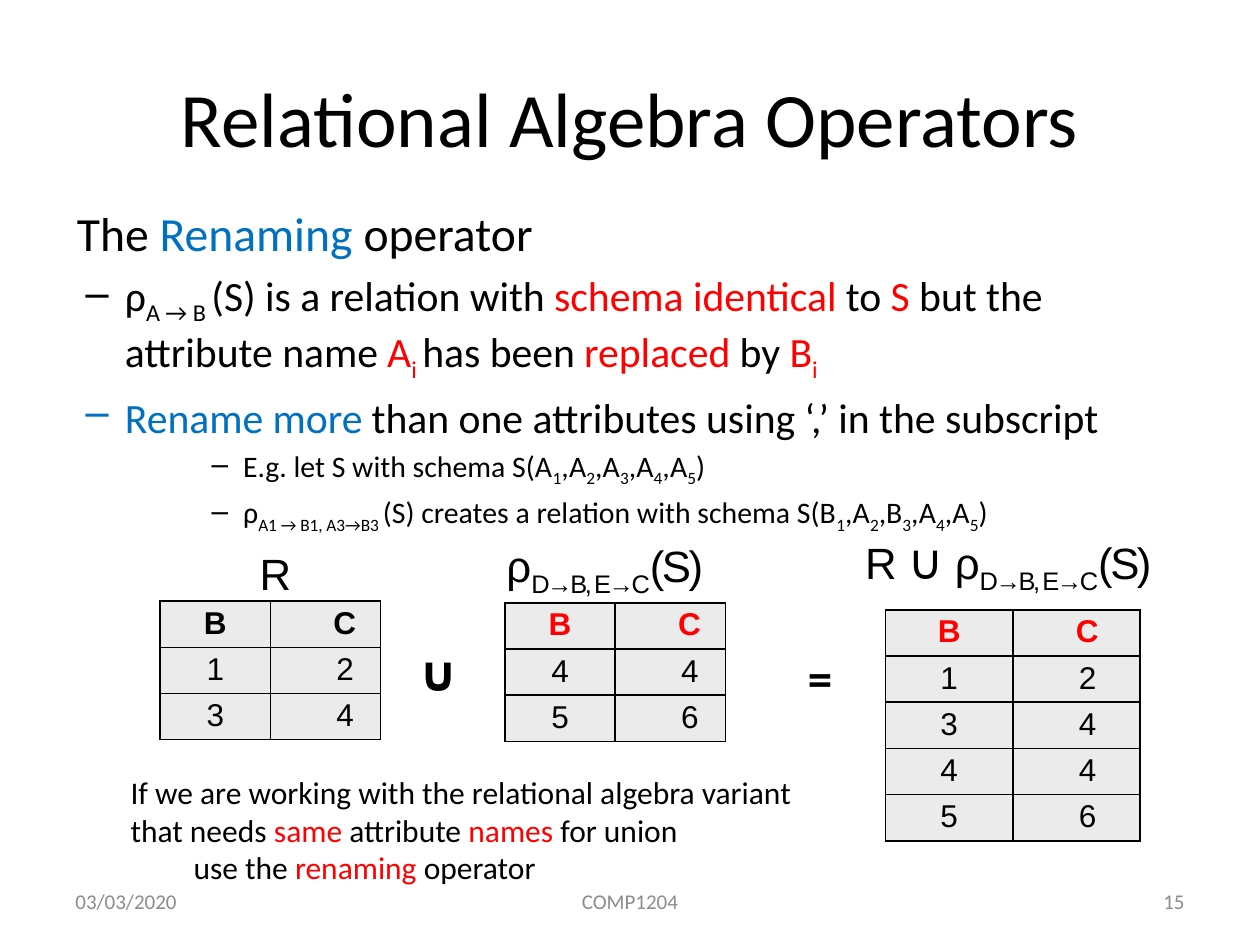
from lxml import etree
from pptx import Presentation
from pptx.dml import color
from pptx.enum import text as txt
from pptx.oxml import ns
from pptx.util import Pt

BLACK = color.RGBColor(0x00, 0x00, 0x00)
RED = color.RGBColor(0xFF, 0x00, 0x00)
BLUE = color.RGBColor(0x00, 0x70, 0xC0)
GRAY = color.RGBColor(0x8C, 0x8C, 0x8C)
CELL_GRAY = color.RGBColor(0xEB, 0xEB, 0xEB)

LEFT, CENTER, RIGHT = txt.PP_ALIGN.LEFT, txt.PP_ALIGN.CENTER, txt.PP_ALIGN.RIGHT
SUB = {"baseline": -25000}
RED_TEXT = {"color": RED}
RED_SUB = {"color": RED, "baseline": -25000}
BLUE_TEXT = {"color": BLUE}
FORMULA = {"name": "Arial", "size": 25, "spc": -140}
RENAMED_S = [("ρ", {}), ("D→B, E→C", SUB), ("(S)", {})]


def add_runs(paragraph, runs, **base):
    for content, changes in runs:
        style = {"name": "Calibri", "color": BLACK, "bold": False, **base, **changes}
        run = paragraph.add_run()
        run.text = content
        run.font.color.rgb = style["color"]
        values = {"name": style["name"], "size": Pt(style["size"]), "bold": style["bold"]}
        for key, value in values.items():
            setattr(run.font, key, value)
        properties = run._r.get_or_add_rPr()
        for key in ("baseline", "spc"):
            if key in style:
                properties.set(key, str(style[key]))


def indent(paragraph, left, hanging=0, bullet=None):
    properties = paragraph._p.get_or_add_pPr()
    properties.set("marL", str(Pt(left)))
    properties.set("indent", str(Pt(-hanging)))
    if bullet:
        etree.SubElement(properties, ns.qn("a:buChar")).set("char", bullet)


def add_frame(slide, box, margins=(7.2, 3.6, 7.2, 3.6), wrap=True, anchor=txt.MSO_ANCHOR.TOP):
    frame = slide.shapes.add_textbox(*map(Pt, box)).text_frame
    left, top, right, bottom = map(Pt, margins)
    values = {"margin_left": left, "margin_top": top, "margin_right": right,
              "margin_bottom": bottom, "word_wrap": wrap, "vertical_anchor": anchor}
    for key, value in values.items():
        setattr(frame, key, value)
    return frame


def middle_line(slide, box, content, size, font_color, alignment):
    paragraph = add_frame(slide, box, anchor=txt.MSO_ANCHOR.MIDDLE).paragraphs[0]
    paragraph.alignment = alignment
    add_runs(paragraph, [(content, {})], size=size, color=font_color)


def footer(slide, box):
    left, top, width, height = box
    middle_line(slide, (left, top, 168, height), "03/03/2020", 12, GRAY, LEFT)
    middle_line(slide, (left + 210, top, 228, height), "COMP1204", 12, GRAY, CENTER)
    middle_line(slide, (left + width - 168, top, 168, height), "15", 12, GRAY, RIGHT)


def schema(*attributes):
    runs = []
    opening = "S("
    for letter, number in attributes:
        runs += [(opening + letter, {}), (number, SUB)]
        opening = ","
    return runs + [(")", {})]


def body(slide, box):
    paragraphs = [
        (27.2, (31, 0, None), [("The ", {}), ("Renaming", BLUE_TEXT), (" operator", {})]),
        (23.8, (58.5, 22.5, "–"), [
            ("ρ", {}), ("A → B ", SUB), ("(S) is a relation with ", {}),
            ("schema identical ", RED_TEXT), ("to", {}), (" S ", RED_TEXT),
            ("but the attribute name ", {}), ("A", RED_TEXT), ("i ", RED_SUB),
            ("has been ", {}), ("replaced ", RED_TEXT), ("by", {}),
            (" B", RED_TEXT), ("i", RED_SUB)]),
        (23.8, (58.5, 22.5, "–"), [
            ("Rename more", BLUE_TEXT),
            (" than one attributes using ‘,’ in the subscript", {})]),
        (17, (126, 18, "–"), [
            ("E.g. let S with schema ", {}), *schema("A1", "A2", "A3", "A4", "A5")]),
        (17, (126, 18, "–"), [
            ("ρ", {}), ("A1 → B1, Α3→Β3 ", SUB), ("(S) creates a relation with schema ", {}),
            *schema("B1", "A2", "B3", "A4", "A5")]),
    ]
    frame = add_frame(slide, box)
    for index, (size, layout, runs) in enumerate(paragraphs):
        paragraph = frame.add_paragraph() if index else frame.paragraphs[0]
        paragraph.space_before = Pt(size * 0.2)
        indent(paragraph, *layout)
        add_runs(paragraph, runs, size=size)


def formula(slide, box, runs):
    paragraph = add_frame(slide, box, margins=(0, 0.9, 0, 0)).paragraphs[0]
    paragraph.space_before = Pt(0.7)
    indent(paragraph, 0.9)
    add_runs(paragraph, runs, **FORMULA)


def operator(slide, box, symbol):
    paragraph = add_frame(slide, box, wrap=False).paragraphs[0]
    add_runs(paragraph, [(symbol, {})], size=28, bold=True)


def add_borders(cell):
    properties = cell._tc.get_or_add_tcPr()
    for side in ("lnL", "lnR", "lnT", "lnB"):
        line = etree.SubElement(properties, ns.qn(f"a:{side}"), w=str(Pt(1)))
        fill = etree.SubElement(line, ns.qn("a:solidFill"))
        etree.SubElement(fill, ns.qn("a:srgbClr"), val=str(BLACK))


def relation(slide, box, rows, header_color):
    left, top, width, row_height = box
    rows = ["BC", *rows]
    shape = slide.shapes.add_table(
        len(rows), 2, Pt(left), Pt(top), Pt(width), Pt(row_height * len(rows)))
    table = shape.table
    for row_index, row in enumerate(rows):
        table.rows[row_index].height = Pt(row_height)
        header = row_index == 0
        for column, value in enumerate(row):
            cell = table.cell(row_index, column)
            for key, margin in {"left": 0, "top": 2.6, "right": 0, "bottom": 0}.items():
                setattr(cell, f"margin_{key}", Pt(margin))
            add_borders(cell)
            cell.fill.solid()
            cell.fill.fore_color.rgb = CELL_GRAY
            paragraph = cell.text_frame.paragraphs[0]
            paragraph.space_before = Pt(3.6)
            if column:
                indent(paragraph, 36 if header else 37.8)
            else:
                paragraph.alignment = CENTER
            add_runs(paragraph, [(value, {})], name="Arial", size=18, bold=header,
                     color=header_color if header else BLACK)


def union_example(slide, box):
    left, top, _, _ = box
    relation(slide, (left, top + 41, 126, 26.4), ["12", "34"], BLACK)
    formula(slide, (left + 56, top + 9, 30, 31), [("R", {})])
    operator(slide, (left + 140.5, top + 61, 42.5, 41), "∪")
    relation(slide, (left + 197, top + 42, 126, 26.4), ["44", "56"], RED)
    formula(slide, (left + 197, top + 4.5, 204, 31), RENAMED_S)
    operator(slide, (left + 363, top + 64, 29, 41), "=")
    relation(slide, (left + 414.5, top + 46, 145.5, 26.4), ["12", "34", "44", "56"], RED)
    union = (" ∪ ", {"name": "Calibri", "size": 28, "spc": 0})
    formula(slide, (left + 402, top, 183, 34.5), [("R", {}), union, *RENAMED_S])


def note(slide, box):
    frame = add_frame(slide, box)
    add_runs(frame.paragraphs[0], [
        ("If we are working with the relational algebra variant that needs ", {}),
        ("same", RED_TEXT), (" attribute ", {}), ("names", RED_TEXT), (" for union", {})], size=18)
    paragraph = frame.add_paragraph()
    indent(paragraph, 36)
    add_runs(paragraph, [("use the ", {}), ("renaming", RED_TEXT), (" operator", {})], size=18)


def main():
    presentation = Presentation()
    presentation.slide_width, presentation.slide_height = Pt(720), Pt(540)
    slide = presentation.slides.add_slide(presentation.slide_layouts[6])
    middle_line(slide, (36, 21.6, 648, 90), "Relational Algebra Operators", 44, BLACK, CENTER)
    body(slide, (5.8, 113, 655, 176.4))
    union_example(slide, (91.5, 302.5, 585, 178))
    note(slide, (67.5, 438, 413.5, 72.7))
    footer(slide, (36, 500.5, 648, 28.8))
    presentation.save("out.pptx")


if __name__ == "__main__":
    main()
